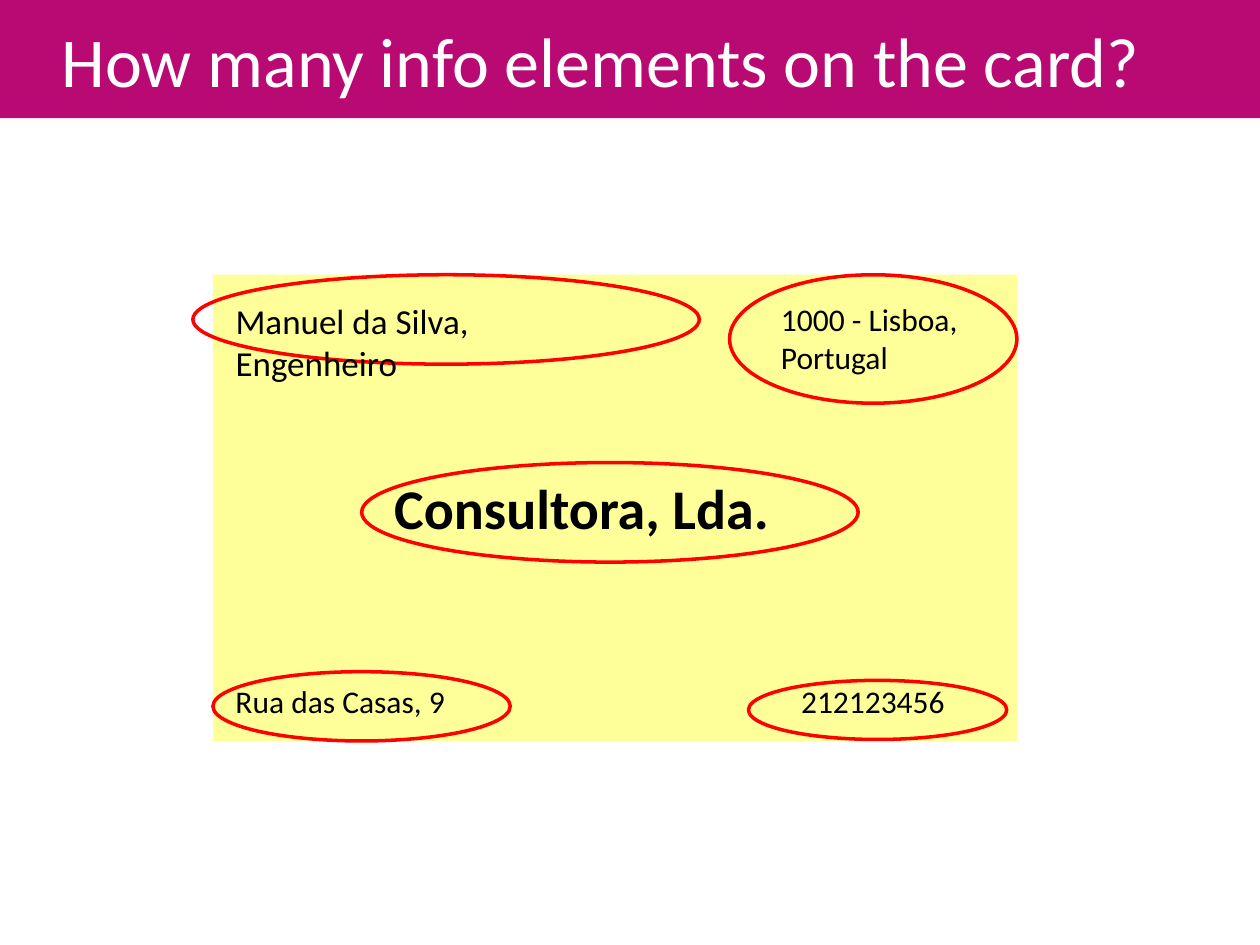
from pptx import Presentation
from pptx.dml.color import RGBColor
from pptx.enum import shapes, text
from pptx.util import Pt

FONT = "Calibri"
# Wording, size, bold, text box and ring, both measured from the card's corner
DETAILS = [
    ("1000 - Lisboa, Portugal", 18, False,
     (317.5, 10.8, 153.4, 50.4), (295.2, 0, 164.2, 73.4)),
    ("Rua das Casas, 9", 18, False,
     (5.8, 229, 187.2, 28.8), (0, 226.8, 169.9, 39.6)),
    ("212123456", 18, False,
     (329, 229, 108, 28.8), (306, 231.8, 147.6, 33.8)),
    ("Consultora, Lda.", 32, True,
     (96.5, 110.1, 283.7, 45.4), (85, 107.3, 283.7, 56.9)),
    ("Manuel da Silva, Engenheiro", 20, False,
     (5.8, 10.8, 240, 31), (-11.5, 0, 289.4, 51.1)),
]


def color(value):
    return RGBColor.from_string(value)


def place(origin, box):
    """Shift a box by the corner it is measured from, as lengths."""
    left, top, width, height = box
    return Pt(origin[0] + left), Pt(origin[1] + top), Pt(width), Pt(height)


def style(para, size, shade, bold=False):
    font = para.font
    font.name, font.size, font.bold = FONT, Pt(size), bold
    font.color.rgb = color(shade)


def add_title(page, box, wording):
    title = page.shapes.title
    title.left, title.top, title.width, title.height = place((0, 0), box)
    title.fill.solid()
    title.fill.fore_color.rgb = color("B80A72")
    frame = title.text_frame
    frame.text = wording
    frame.auto_size = text.MSO_AUTO_SIZE.NONE
    frame.vertical_anchor = text.MSO_ANCHOR.MIDDLE
    frame.margin_left = Pt(35.3)
    para = frame.paragraphs[0]
    para.alignment = text.PP_ALIGN.LEFT
    style(para, 40, "FFFFFF")


def add_ring(page, origin, box):
    ring = page.shapes.add_shape(shapes.MSO_SHAPE.OVAL, *place(origin, box))
    ring.shadow.inherit = False
    ring.fill.background()
    ring.line.color.rgb = color("FF0000")
    ring.line.width = Pt(2)


def add_detail(page, origin, box, wording, size, bold):
    frame = page.shapes.add_textbox(*place(origin, box)).text_frame
    frame.word_wrap = True
    frame.text = wording
    style(frame.paragraphs[0], size, "000000", bold)


def add_card(page, box):
    card = page.shapes.add_shape(shapes.MSO_SHAPE.RECTANGLE, *place((0, 0), box))
    card.shadow.inherit = False
    card.fill.solid()
    card.fill.fore_color.rgb = color("FFFF99")
    card.line.fill.background()
    origin = box[:2]
    for wording, size, bold, text_box, ring_box in DETAILS:
        add_ring(page, origin, ring_box)
        add_detail(page, origin, text_box, wording, size, bold)


def main():
    deck = Presentation()
    deck.slide_width, deck.slide_height = Pt(720), Pt(540)
    page = deck.slides.add_slide(deck.slide_layouts[5])
    add_title(page, (0, 0, 720, 67.5), "How many info elements on the card?")
    add_card(page, (121.7, 157, 459.4, 266.4))
    deck.save("out.pptx")


if __name__ == "__main__":
    main()
